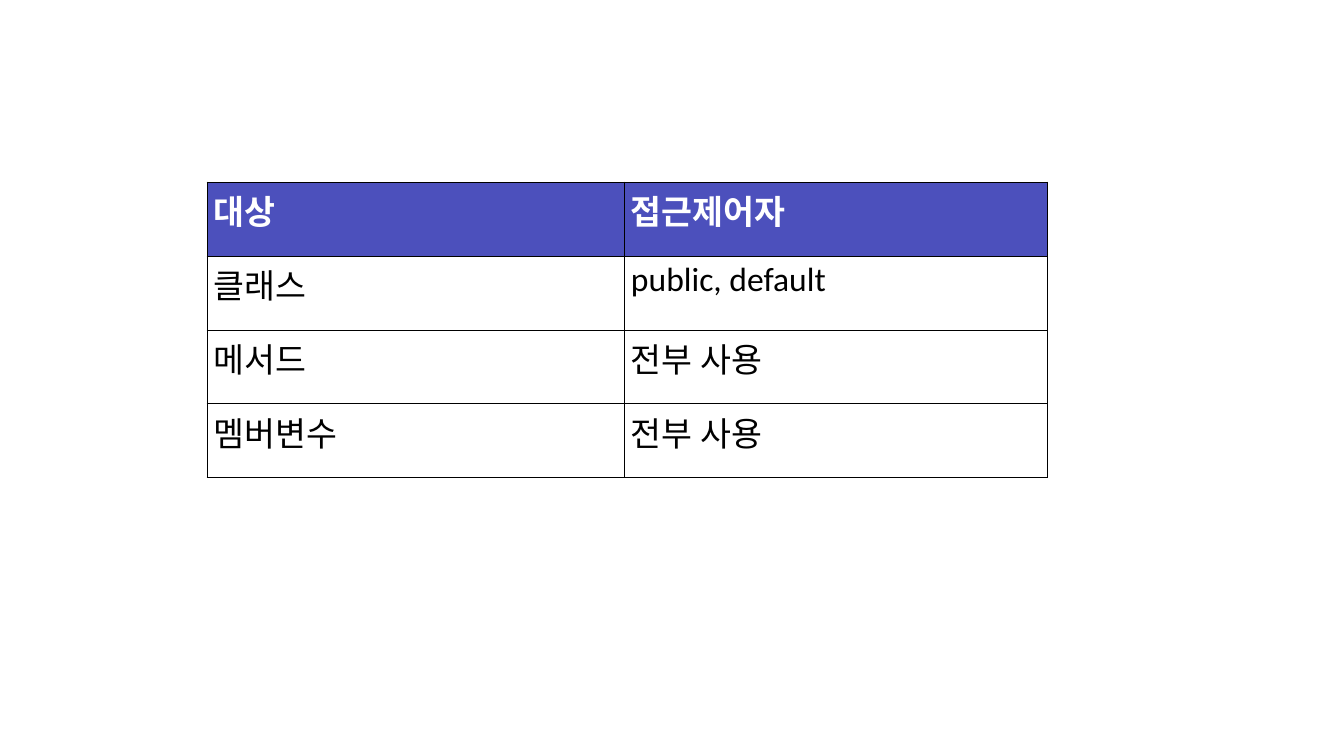
import pptx
import pptx.dml.color
import pptx.oxml
import pptx.oxml.ns
import pptx.util


def color(hex_string):
    return pptx.dml.color.RGBColor.from_string(hex_string)


def add_borders(cell, hex_string, points):
    properties = cell._tc.get_or_add_tcPr()
    for index, side in enumerate(("lnL", "lnR", "lnT", "lnB")):
        line = pptx.oxml.parse_xml(
            f'<a:{side} {pptx.oxml.ns.nsdecls("a")} w="{pptx.util.Pt(points)}">'
            f'<a:solidFill><a:srgbClr val="{hex_string}"/></a:solidFill></a:{side}>'
        )
        properties.insert(index, line)


presentation = pptx.Presentation()
presentation.slide_width = pptx.util.Inches(20)
presentation.slide_height = pptx.util.Inches(11.25)
slide = presentation.slides.add_slide(presentation.slide_layouts[6])

rows = [
    ("대상", "접근제어자"),
    ("클래스", "public, default"),
    ("메서드", "전부 사용"),
    ("멤버변수", "전부 사용"),
]
column_widths = [6.21, 6.29]
row_height = 1.1

table = slide.shapes.add_table(
    len(rows),
    len(column_widths),
    pptx.util.Inches(3.08),
    pptx.util.Inches(2.71),
    pptx.util.Inches(sum(column_widths)),
    pptx.util.Inches(row_height * len(rows)),
).table
table.horz_banding = False

for column, width in zip(table.columns, column_widths):
    column.width = pptx.util.Inches(width)

for row_index, row in enumerate(rows):
    is_header = row_index == 0
    table.rows[row_index].height = pptx.util.Inches(row_height)
    for column_index, text in enumerate(row):
        cell = table.cell(row_index, column_index)
        cell.text = text
        font = cell.text_frame.paragraphs[0].font
        font.name = "Calibri"
        font.size = pptx.util.Pt(36)
        font.bold = is_header
        font.color.rgb = color("FFFFFF" if is_header else "000000")
        if is_header:
            cell.fill.solid()
            cell.fill.fore_color.rgb = color("4C50BC")
        else:
            cell.fill.background()
        add_borders(cell, "000000", 1)

presentation.save("out.pptx")
